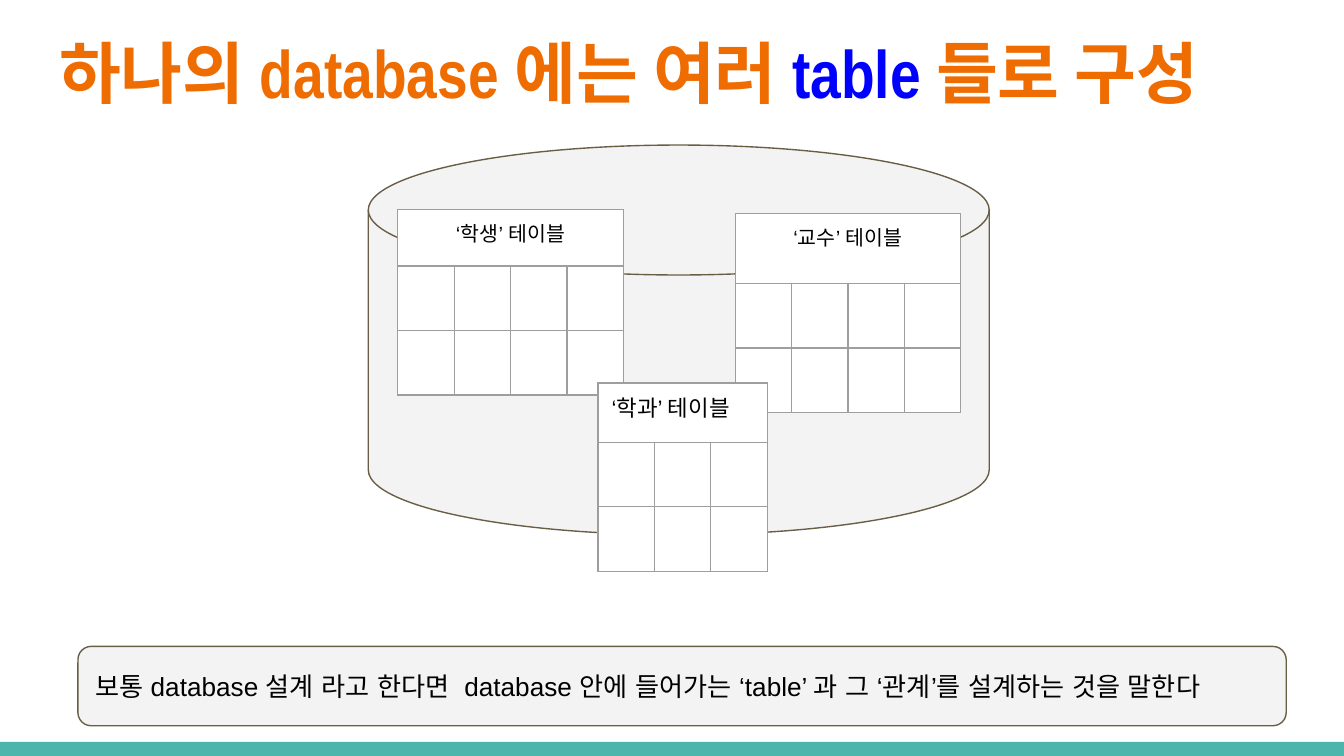
from lxml import etree
from pptx import Presentation
from pptx.dml.color import RGBColor
from pptx.enum.lang import MSO_LANGUAGE_ID
from pptx.enum.shapes import MSO_SHAPE
from pptx.enum.text import MSO_ANCHOR, MSO_AUTO_SIZE, PP_ALIGN
from pptx.oxml.ns import qn
from pptx.util import Inches, Pt

RECT = MSO_SHAPE.RECTANGLE
ROUND = MSO_SHAPE.ROUNDED_RECTANGLE
DISK = MSO_SHAPE.FLOWCHART_MAGNETIC_DISK
MIDDLE = MSO_ANCHOR.MIDDLE
LEFT, CENTER = PP_ALIGN.LEFT, PP_ALIGN.CENTER
NO_FIT = MSO_AUTO_SIZE.NONE
KOREAN = MSO_LANGUAGE_ID.KOREAN


def rgb(value):
    return RGBColor.from_string(value)


class Deck:
    teal, orange, blue = "4DB6AC", "EF6C00", "0000FF"
    gray, brown, grid = "F3F3F3", "695D46", "9E9E9E"
    black, white = "000000", "FFFFFF"
    font, title_font = "Arial", "Arial Narrow"
    cell_width, row_height = 0.42, 0.48

    def __init__(self, prs):
        self.slide = prs.slides.add_slide(prs.slide_layouts[5])

    def set_text(self, p, parts, name, size, bold=False, align=LEFT):
        p.alignment = align
        p.font.name = name
        p.font.size = Pt(size)
        p.font.bold = bold
        for text, color in parts:
            r = p.add_run()
            r.text = text
            r.font.color.rgb = rgb(color)
            r.font.language_id = KOREAN
            r.font.name = name
            for tag in ("a:ea", "a:cs"):
                etree.SubElement(r._r.rPr, qn(tag), typeface=name)

    def set_frame(self, tf):
        tf.word_wrap = True
        tf.auto_size = NO_FIT
        tf.vertical_anchor = MIDDLE
        tf.margin_left = tf.margin_right = Inches(0.1)
        tf.margin_top = tf.margin_bottom = Inches(0.1)

    def title(self, box, parts):
        sp = self.slide.shapes.title
        sp.left, sp.top, sp.width, sp.height = map(Inches, box)
        self.set_frame(sp.text_frame)
        self.set_text(sp.text_frame.paragraphs[0], parts,
                      self.title_font, 36, True)

    def shape(self, kind, box, fill, line=None):
        sp = self.slide.shapes.add_shape(kind, *map(Inches, box))
        sp.shadow.inherit = False
        sp.fill.solid()
        sp.fill.fore_color.rgb = rgb(fill)
        if line:
            sp.line.color.rgb = rgb(line)
            sp.line.width = Pt(0.75)
        else:
            sp.line.fill.background()
        return sp

    def note(self, box, text):
        sp = self.shape(ROUND, box, self.gray, self.brown)
        self.set_frame(sp.text_frame)
        self.set_text(sp.text_frame.paragraphs[0], [(text, self.black)],
                      self.font, 14)

    def borders(self, cell):
        tc_pr = cell._tc.get_or_add_tcPr()
        for i, side in enumerate(("a:lnL", "a:lnR", "a:lnT", "a:lnB")):
            ln = etree.Element(qn(side), w=str(Pt(0.75)))
            fill = etree.SubElement(ln, qn("a:solidFill"))
            etree.SubElement(fill, qn("a:srgbClr"), val=self.grid)
            tc_pr.insert(i, ln)

    def table(self, left, top, cols, header_height, text, size, align):
        heights = [header_height, self.row_height, self.row_height]
        frame = self.slide.shapes.add_table(
            len(heights), cols, Inches(left), Inches(top),
            Inches(cols * self.cell_width), Inches(sum(heights)))
        table = frame.table
        table.first_row = table.horz_banding = False
        for column in table.columns:
            column.width = Inches(self.cell_width)
        for row, height in zip(table.rows, heights):
            row.height = Inches(height)
        for cell in table.iter_cells():
            cell.fill.solid()
            cell.fill.fore_color.rgb = rgb(self.white)
            self.borders(cell)
        header = table.cell(0, 0)
        header.merge(table.cell(0, cols - 1))
        header.margin_left = header.margin_right = Inches(0.1)
        header.margin_top = header.margin_bottom = Inches(0.1)
        self.set_text(header.text_frame.paragraphs[0], [(text, self.black)],
                      self.font, size, align=align)


def main():
    prs = Presentation()
    prs.slide_width = Inches(10)
    prs.slide_height = prs.slide_width * 9 // 16
    deck = Deck(prs)
    deck.shape(RECT, (0, 5.52, 10, 0.11), deck.teal)
    deck.title((0.34, 0.15, 9.32, 0.77), [
        ("하나의 database 에는 여러 ", deck.orange),
        ("table ", deck.blue),
        ("들로 구성", deck.orange),
    ])
    deck.shape(DISK, (2.74, 1.08, 4.62, 2.9), deck.gray, deck.brown)
    deck.table(2.96, 1.56, 4, 0.42, "‘학생’ 테이블", 11, CENTER)
    deck.table(5.47, 1.59, 4, 0.52, "‘교수’ 테이블", 11, CENTER)
    deck.table(4.45, 2.85, 3, 0.44, "‘학과’ 테이블", 12, LEFT)
    deck.note((0.58, 4.81, 8.99, 0.59),
              "보통 database 설계 라고 한다면  database 안에 들어가는 "
              "‘table’ 과 그 ‘관계’를 설계하는 것을 말한다")
    prs.save("out.pptx")


if __name__ == "__main__":
    main()
